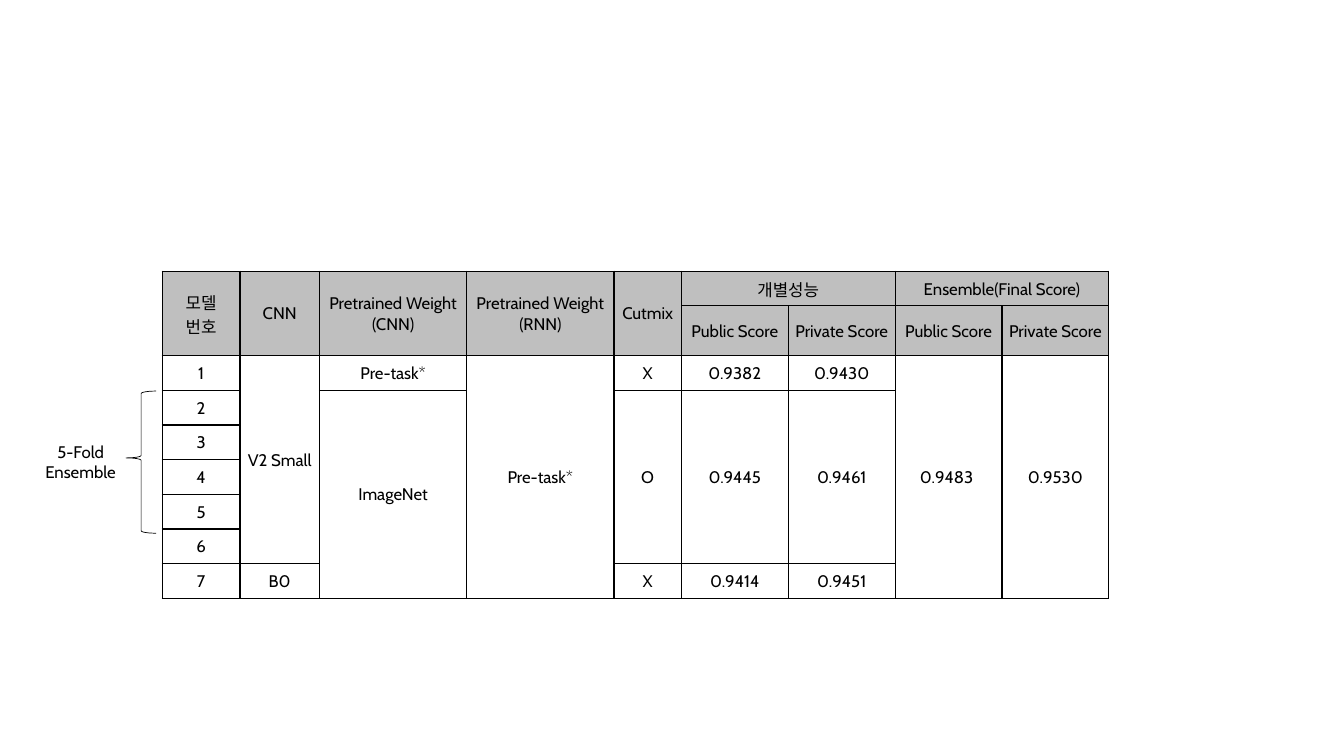
from lxml import etree
from pptx import Presentation
from pptx import util as u
from pptx.dml.color import RGBColor
from pptx.enum import shapes, text
from pptx.oxml import ns

COLORS = {"ink": "000000", "header": "BFBFBF", "body": "FFFFFF"}
COLUMN_WIDTHS = [0.77, 0.79, 1.46, 1.46, 0.67, 1.06, 1.06, 1.06, 1.06]
ROW_COUNT = 9
HEADER_ROWS = 2
TABLE_HEIGHT = 3.1

CELLS = [
    (0, 0, 2, 1, ["모델", "번호"]),
    (0, 1, 2, 1, ["CNN"]),
    (0, 2, 2, 1, ["Pretrained Weight", "(CNN)"]),
    (0, 3, 2, 1, ["Pretrained Weight", "(RNN)"]),
    (0, 4, 2, 1, ["Cutmix"]),
    (0, 5, 1, 2, ["개별성능"]),
    (0, 7, 1, 2, ["Ensemble(Final Score)"]),
    (2, 1, 6, 1, ["V2 Small"]),
    (8, 1, 1, 1, ["B0"]),
    (2, 2, 1, 1, ["Pre-task*"]),
    (3, 2, 6, 1, ["ImageNet"]),
    (2, 3, 7, 1, ["Pre-task*"]),
    (2, 7, 7, 1, ["0.9483 "]),
    (2, 8, 7, 1, ["0.9530"]),
]
CELLS += [(1, column, 1, 1, [f"{name} Score"])
          for column, name in enumerate(["Public", "Private"] * 2, start=5)]
CELLS += [(row, 0, 1, 1, [str(row - 1)]) for row in range(HEADER_ROWS, ROW_COUNT)]
RESULTS = [
    (2, 1, ["X", "0.9382", "0.9430"]),
    (3, 5, ["O", "0.9445", "0.9461"]),
    (8, 1, ["X", "0.9414", "0.9451"]),
]
CELLS += [(row, column, row_span, 1, [value])
          for row, row_span, values in RESULTS
          for column, value in enumerate(values, start=4)]


class SlideBuilder:
    def __init__(self, slide, font="Cabin", size=12):
        self.slide = slide
        self.font = font
        self.size = size

    def color(self, name):
        return RGBColor.from_string(COLORS[name])

    def add_lines(self, frame, lines):
        for index, line in enumerate(lines):
            paragraph = frame.paragraphs[0] if index == 0 else frame.add_paragraph()
            paragraph.alignment = text.PP_ALIGN.CENTER
            run = paragraph.add_run()
            run.text = line
            run.font.name = self.font
            run.font.size = u.Pt(self.size)
            run.font.color.rgb = self.color("ink")

    def format_cell(self, cell, fill):
        cell.margin_left = cell.margin_right = cell.margin_top = u.Inches(0.01)
        cell.margin_bottom = 0
        cell.vertical_anchor = text.MSO_ANCHOR.MIDDLE
        properties = cell._tc.get_or_add_tcPr()
        for side in ("lnL", "lnR", "lnT", "lnB"):
            border = etree.SubElement(properties, ns.qn(f"a:{side}"), w=str(u.Pt(1)))
            solid = etree.SubElement(border, ns.qn("a:solidFill"))
            etree.SubElement(solid, ns.qn("a:srgbClr"), val=COLORS["ink"])
        cell.fill.solid()
        cell.fill.fore_color.rgb = self.color(fill)

    def score_table(self, left, top):
        table = self.slide.shapes.add_table(
            ROW_COUNT, len(COLUMN_WIDTHS), u.Inches(left), u.Inches(top),
            u.Inches(sum(COLUMN_WIDTHS)), u.Inches(TABLE_HEIGHT)).table
        table.first_row = False
        table.horz_banding = False
        for column, width in zip(table.columns, COLUMN_WIDTHS):
            column.width = u.Inches(width)
        for index, row in enumerate(table.rows):
            row.height = u.Inches(TABLE_HEIGHT / ROW_COUNT)
            for cell in row.cells:
                self.format_cell(cell, "header" if index < HEADER_ROWS else "body")
        for row, column, row_span, column_span, lines in CELLS:
            cell = table.cell(row, column)
            if row_span * column_span > 1:
                cell.merge(table.cell(row + row_span - 1, column + column_span - 1))
            self.add_lines(cell.text_frame, lines)

    def brace(self, left, top, width, height):
        shape = self.slide.shapes.add_shape(
            shapes.MSO_SHAPE.LEFT_BRACE, u.Inches(left), u.Inches(top),
            u.Inches(width), u.Inches(height))
        shape.adjustments[0] = 0.08
        shape.adjustments[1] = 0.47
        shape.shadow.inherit = False
        shape.fill.background()
        shape.line.color.rgb = self.color("ink")
        shape.line.width = u.Pt(0.5)

    def label(self, left, top, width, height, line):
        frame = self.slide.shapes.add_textbox(
            u.Inches(left), u.Inches(top), u.Inches(width), u.Inches(height)).text_frame
        frame.word_wrap = True
        frame.auto_size = text.MSO_AUTO_SIZE.SHAPE_TO_FIT_TEXT
        self.add_lines(frame, [line])


def main():
    presentation = Presentation()
    presentation.slide_width = u.Inches(13.33)
    presentation.slide_height = u.Inches(7.5)
    builder = SlideBuilder(presentation.slides.add_slide(presentation.slide_layouts[6]))
    builder.score_table(1.61, 2.69)
    builder.brace(1.25, 3.88, 0.3, 1.41)
    builder.label(0.2, 4.33, 1.2, 0.5, "5-Fold Ensemble")
    presentation.save("out.pptx")


if __name__ == "__main__":
    main()
